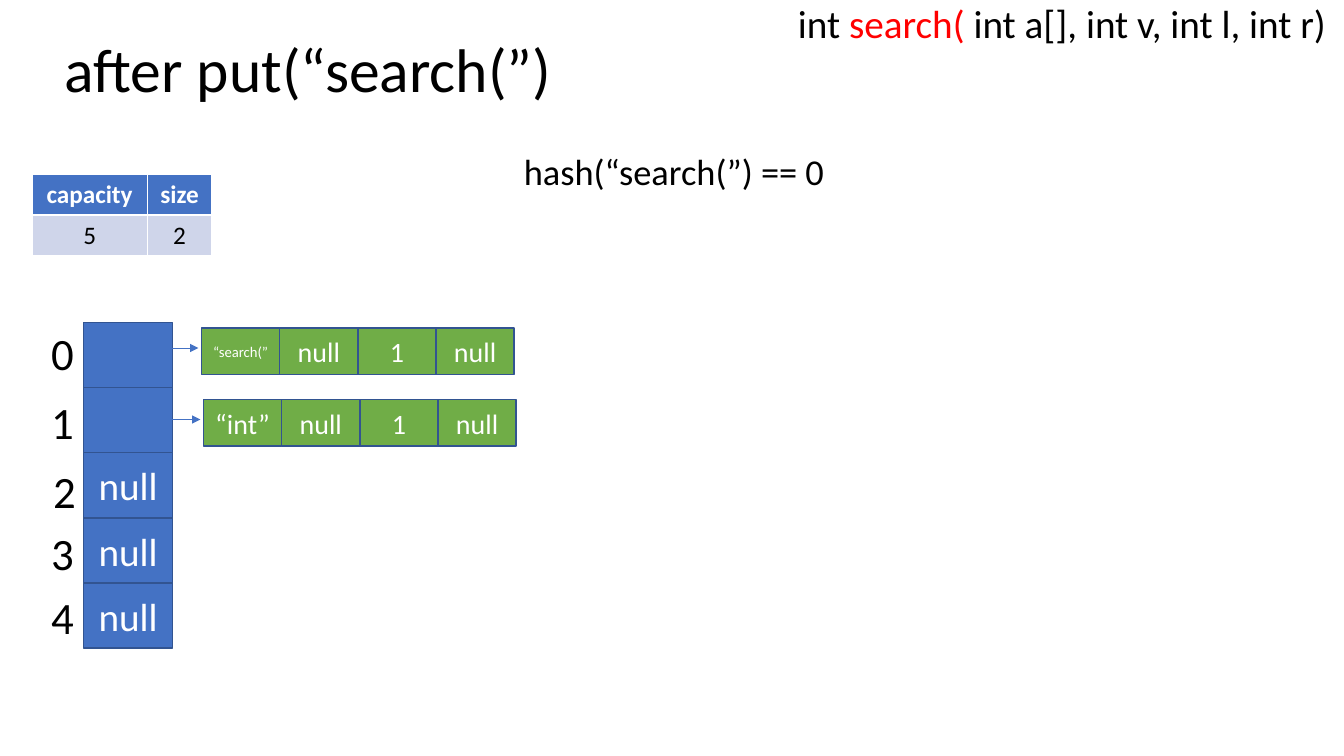
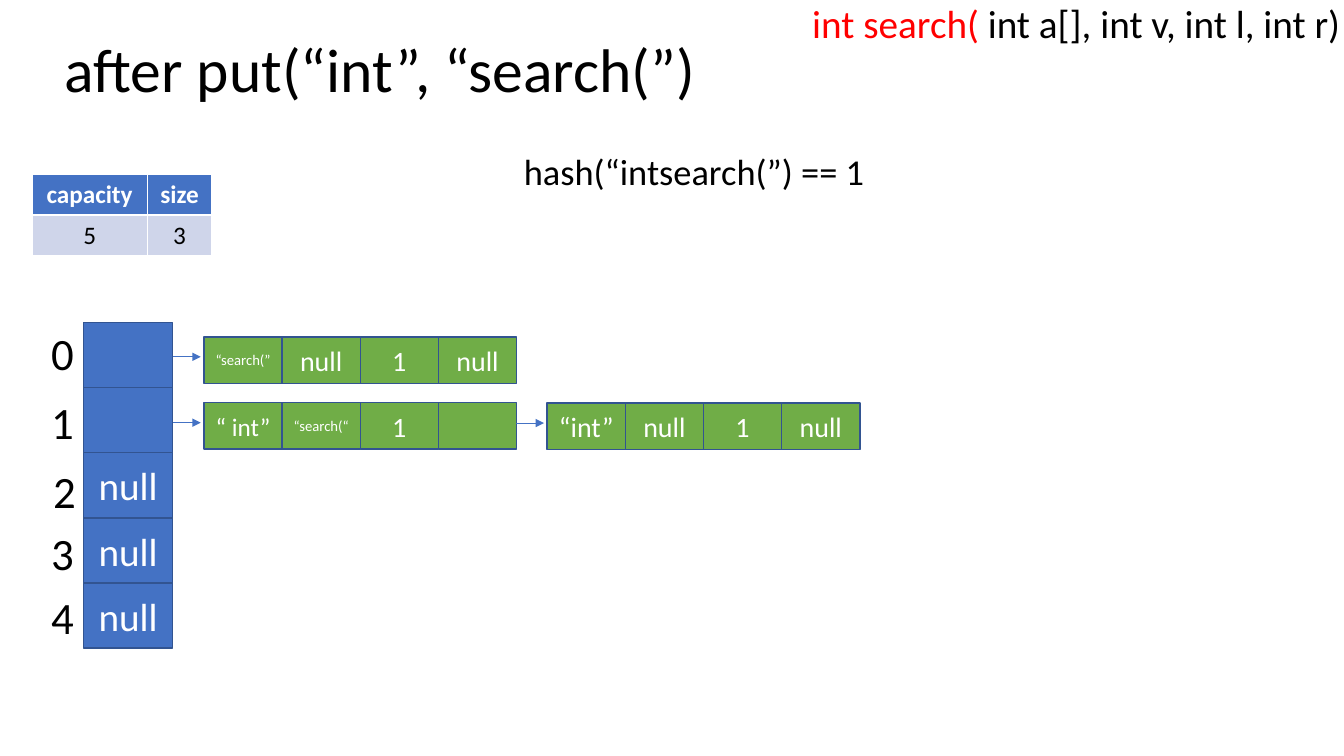
from lxml.etree import SubElement
from pptx import Presentation
from pptx.dml.color import RGBColor
from pptx.enum.shapes import MSO_CONNECTOR, MSO_SHAPE
from pptx.enum.text import MSO_ANCHOR, MSO_AUTO_SIZE, PP_ALIGN
from pptx.oxml.ns import qn
from pptx.util import Cm, Pt

# Content
SLIDES = [
    {
        "title": "after put(“search(”)",
        "hash": "hash(“search(”) == 0",
        "table": [["capacity", "size"], ["5", "2"]],
        "signature_left": 19.86,
        "signature": [("int ", "000000"), ("search( ", "FF0000"),
                      ("int a[], int v, int l, int r)", "000000")],
        "nodes": [  # left, top, fields (key, key, count, next)
            (5.08, 8.27, ["“search(”", "null", "1", "null"]),
            (5.13, 10.07, ["“int”", "null", "1", "null"]),
        ],
    },
    {
        "title": "after put(“int”, “search(”)",
        "hash": "hash(“intsearch(”) == 1",
        "table": [["capacity", "size"], ["5", "3"]],
        "signature_left": 20.22,
        "signature": [("int search( ", "FF0000"),
                      ("int a[], int v, int l, int r)", "000000")],
        "nodes": [
            (5.14, 8.49, ["“search(”", "null", "1", "null"]),
            (5.14, 10.15, ["“ int”", "“search(“", "1", ""]),
            (13.79, 10.16, ["“int”", "null", "1", "null"]),
        ],
    },
]
BUCKETS = ["", "", "null", "null", "null"]
INDEX_PLACES = [(1.04, 8.08), (1.04, 9.83), (1.09, 11.56), (1.04, 13.13), (1.04, 14.73)]
FIELD_SIZES = {"“search(”": 10.5, "“search(“": 10.5, "“ int”": 18}

# Shared look, lengths in centimetres
FONT = "Calibri"
BLACK, WHITE, BLUE, GREEN = "000000", "FFFFFF", "4472C4", "70AD47"
OUTLINE, PALE = "325491", "CFD5EA"
SLIDE_WIDTH, SLIDE_HEIGHT = 33.87, 19.05
BUCKET_LEFT, BUCKET_TOP, BUCKET_WIDTH, BUCKET_HEIGHT = 2.11, 8.13, 2.24, 1.64
FIELD_WIDTH, FIELD_HEIGHT = 1.97, 1.17
ARROW_START, ARROW_END, ARROW_DROP = 0.79, 0.08, 0.5
COLUMN_WIDTHS, ROW_HEIGHT = [2.9, 1.63], 1.03
CENTERED = {"alignment": PP_ALIGN.CENTER}
SPACED = {"line_spacing": 0.9, "space_before": Pt(10)}


def color(value):
    return RGBColor.from_string(value)


def apply(target, values):
    for name, value in values.items():
        setattr(target, name, value)


def write(frame, runs, size, paragraph_format, bold=False):
    """Fill the first paragraph with (text, colour) runs."""
    paragraph = frame.paragraphs[0]
    apply(paragraph, paragraph_format)
    for text, run_color in runs:
        run = paragraph.add_run()
        run.text = text
        apply(run.font, {"name": FONT, "size": Pt(size), "bold": bold})
        run.font.color.rgb = color(run_color)


def add_text(slide, left, top, width, height, runs, size, paragraph_format, **frame_format):
    box = slide.shapes.add_textbox(Cm(left), Cm(top), Cm(width), Cm(height))
    apply(box.text_frame, {"word_wrap": True, **frame_format})
    write(box.text_frame, runs, size, paragraph_format)


def add_box(slide, left, top, width, height, fill, text, size):
    shape = slide.shapes.add_shape(
        MSO_SHAPE.RECTANGLE, Cm(left), Cm(top), Cm(width), Cm(height))
    shape.shadow.inherit = False
    shape.fill.solid()
    shape.fill.fore_color.rgb = color(fill)
    shape.line.color.rgb = color(OUTLINE)
    shape.line.width = Pt(1)
    shape.text_frame.vertical_anchor = MSO_ANCHOR.MIDDLE
    if text:
        write(shape.text_frame, [(text, WHITE)], size, CENTERED)


def add_arrow(slide, start, end, y):
    arrow = slide.shapes.add_connector(
        MSO_CONNECTOR.STRAIGHT, Cm(start), Cm(y), Cm(end), Cm(y))
    arrow.line.color.rgb = color(BLUE)
    arrow.line.width = Pt(0.5)
    SubElement(arrow.line._get_or_add_ln(), qn("a:tailEnd"), type="triangle")
    SubElement(arrow._element.spPr, qn("a:effectLst"))


def add_title(slide, text):
    title = slide.shapes.title
    apply(title, {"left": Cm(1.37), "top": Cm(0), "width": Cm(29.21), "height": Cm(3.68)})
    apply(title.text_frame, {"vertical_anchor": MSO_ANCHOR.MIDDLE, "word_wrap": True,
                             "auto_size": MSO_AUTO_SIZE.NONE})
    write(title.text_frame, [(text, BLACK)], 44,
          {"alignment": PP_ALIGN.LEFT, "line_spacing": 0.9})


def add_summary(slide, rows):
    table = slide.shapes.add_table(
        len(rows), len(COLUMN_WIDTHS), Cm(0.81), Cm(4.39),
        Cm(sum(COLUMN_WIDTHS)), Cm(ROW_HEIGHT * len(rows))).table
    for column, width in zip(table.columns, COLUMN_WIDTHS):
        column.width = Cm(width)
    for row_index, texts in enumerate(rows):
        header = row_index == 0
        for column_index, text in enumerate(texts):
            cell = table.cell(row_index, column_index)
            cell.fill.solid()
            cell.fill.fore_color.rgb = color(BLUE if header else PALE)
            write(cell.text_frame, [(text, WHITE if header else BLACK)], 18, CENTERED, header)


def add_buckets(slide):
    for index, text in enumerate(BUCKETS):
        add_box(slide, BUCKET_LEFT, BUCKET_TOP + index * BUCKET_HEIGHT,
                BUCKET_WIDTH, BUCKET_HEIGHT, BLUE, text, 28)
    for index, (left, top) in enumerate(INDEX_PLACES):
        add_text(slide, left, top, 1.09, 1.63, [(str(index), BLACK)], 32, {}, word_wrap=False)


def add_node(slide, left, top, fields):
    for index, text in enumerate(fields):
        add_box(slide, left + index * FIELD_WIDTH, top, FIELD_WIDTH, FIELD_HEIGHT,
                GREEN, text, FIELD_SIZES.get(text, 20))
    add_arrow(slide, left - ARROW_START, left - ARROW_END, top + ARROW_DROP)


def main():
    presentation = Presentation()
    apply(presentation, {"slide_width": Cm(SLIDE_WIDTH), "slide_height": Cm(SLIDE_HEIGHT)})
    for content in SLIDES:
        slide = presentation.slides.add_slide(presentation.slide_layouts[5])
        add_title(slide, content["title"])
        add_summary(slide, content["table"])
        add_buckets(slide)
        for node in content["nodes"]:
            add_node(slide, *node)
        add_text(slide, 12.95, 3.76, 9.14, 1.24, [(content["hash"], BLACK)], 26, SPACED)
        left = content["signature_left"]
        add_text(slide, left, 0, SLIDE_WIDTH - left, 1.35, content["signature"], 28, SPACED,
                 margin_right=0)
    presentation.save("out.pptx")


if __name__ == "__main__":
    main()
